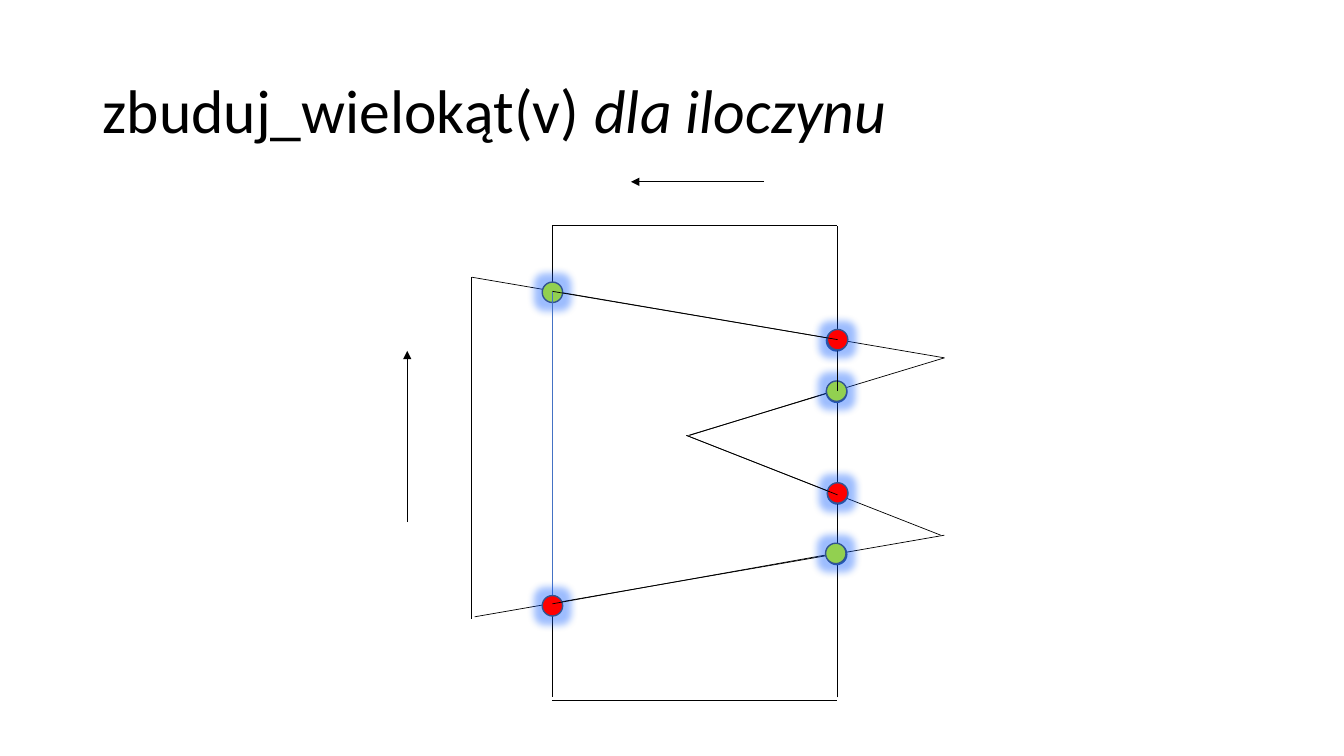
import pptx
import pptx.dml.color
import pptx.enum.shapes
import pptx.enum.text
import pptx.oxml
import pptx.oxml.ns
import pptx.util

Pt = pptx.util.Pt
RGBColor = pptx.dml.color.RGBColor

BLACK = RGBColor(0x00, 0x00, 0x00)
BLUE = RGBColor(0x44, 0x72, 0xC4)
RIM = RGBColor(0x32, 0x54, 0x91)
RED = RGBColor(0xFF, 0x00, 0x00)
GREEN = RGBColor(0x92, 0xD0, 0x50)
GLOW = RGBColor(0x0A, 0x5A, 0xFF)

DIAMETER = 14.6
RECT_LEFT, RECT_RIGHT = 394.6, 598.3
RECT_TOP, RECT_BOTTOM = 161.3, 500.4
COMB_LEFT, COMB_TIP, COMB_NOTCH = 337, 674.6, 490.3
NOTCH_Y = 311
NAMESPACE = pptx.oxml.ns.nsdecls("a")

deck = pptx.Presentation()
deck.slide_width, deck.slide_height = Pt(960), Pt(540)
page = deck.slides.add_slide(deck.slide_layouts[5])


def draw_line(x1, y1, x2, y2, color=BLACK, arrow=False):
    """Draw a thin straight line, with an arrowhead at its end if asked."""
    line = page.shapes.add_connector(
        pptx.enum.shapes.MSO_CONNECTOR.STRAIGHT, Pt(x1), Pt(y1), Pt(x2), Pt(y2))
    line.line.color.rgb = color
    line.line.width = Pt(0.5)
    if arrow:
        line.line._get_or_add_ln().append(
            pptx.oxml.parse_xml(f'<a:tailEnd {NAMESPACE} type="triangle"/>'))
    line._element.spPr.append(pptx.oxml.parse_xml(f"<a:effectLst {NAMESPACE}/>"))


def draw_point(x, y, color, glowing=True):
    """Draw an intersection point centred on x, y."""
    point = page.shapes.add_shape(
        pptx.enum.shapes.MSO_SHAPE.OVAL, Pt(x - DIAMETER / 2), Pt(y - DIAMETER / 2),
        Pt(DIAMETER), Pt(DIAMETER))
    point.shadow.inherit = False
    point.fill.solid()
    point.fill.fore_color.rgb = color
    point.line.color.rgb = RIM
    point.line.width = Pt(1)
    if glowing:
        effects = point._element.spPr.find(pptx.oxml.ns.qn("a:effectLst"))
        effects.append(pptx.oxml.parse_xml(
            f'<a:glow {NAMESPACE} rad="{Pt(11)}"><a:srgbClr val="{GLOW}">'
            '<a:alpha val="40000"/></a:srgbClr></a:glow>'))


# Title
title = page.shapes.title
title.left, title.top, title.width, title.height = Pt(66), Pt(28.8), Pt(828), Pt(104.4)
title.text_frame.word_wrap = True
title.text_frame.auto_size = pptx.enum.text.MSO_AUTO_SIZE.NONE
title.text_frame.vertical_anchor = pptx.enum.text.MSO_ANCHOR.MIDDLE
para = title.text_frame.paragraphs[0]
para.alignment = pptx.enum.text.PP_ALIGN.LEFT
para.line_spacing = 0.9
for words, italic in (("zbuduj_wielokąt(v) ", False), ("dla iloczynu", True)):
    span = para.add_run()
    span.text = words
    span.font.name = "Calibri"
    span.font.size = Pt(44)
    span.font.italic = italic
    span.font.color.rgb = BLACK

# Comb polygon and rectangle
for ends in (
    (COMB_LEFT, 442, COMB_LEFT, 198),
    (339, 440.6, COMB_TIP, 382.3),
    (672, 382.3, COMB_NOTCH, NOTCH_Y),
    (491.8, NOTCH_Y, COMB_TIP, 255.6),
    (COMB_TIP, 255.6, COMB_LEFT, 198),
    (RECT_LEFT, RECT_TOP, RECT_LEFT, 498.2),
    (RECT_LEFT, RECT_BOTTOM, 597.6, RECT_BOTTOM),
    (RECT_RIGHT, 498.2, RECT_RIGHT, RECT_TOP),
    (597.6, RECT_TOP, RECT_LEFT, RECT_TOP),
):
    draw_line(*ends)

# Intersections on the right edge
for x, y, color in ((597.6, 243.4, RED), (597.6, 280.1, GREEN),
                    (598.3, 352.8, RED), (597.6, 396, GREEN)):
    draw_point(x, y, color, glowing=False)

# Directions of traversal
draw_line(545.8, 129.9, 450.7, 129.9, arrow=True)
draw_line(290.9, 373, 290.9, 250.6, arrow=True)

# Product polygon, step by step
draw_point(RECT_LEFT, 208.8, GREEN)
draw_line(RECT_LEFT, 208.8, RECT_LEFT, 432.7, BLUE)
draw_point(RECT_LEFT, 432.7, RED)
draw_line(RECT_LEFT, 431.3, 596.2, 395.3)
draw_line(RECT_RIGHT, 396, RECT_RIGHT, 353.5)
draw_point(RECT_RIGHT, 352.1, RED)
draw_point(597, 395.3, GREEN)
draw_line(RECT_RIGHT, 353.5, COMB_NOTCH, NOTCH_Y)
draw_line(492.5, NOTCH_Y, 597.6, 278.6)
draw_point(597.6, 279.4, GREEN)
draw_line(RECT_RIGHT, 279.4, RECT_RIGHT, 244.1)
draw_point(RECT_RIGHT, 242.6, RED)
draw_line(RECT_LEFT, 208.1, RECT_RIGHT, 242.6)

deck.save("out.pptx")
